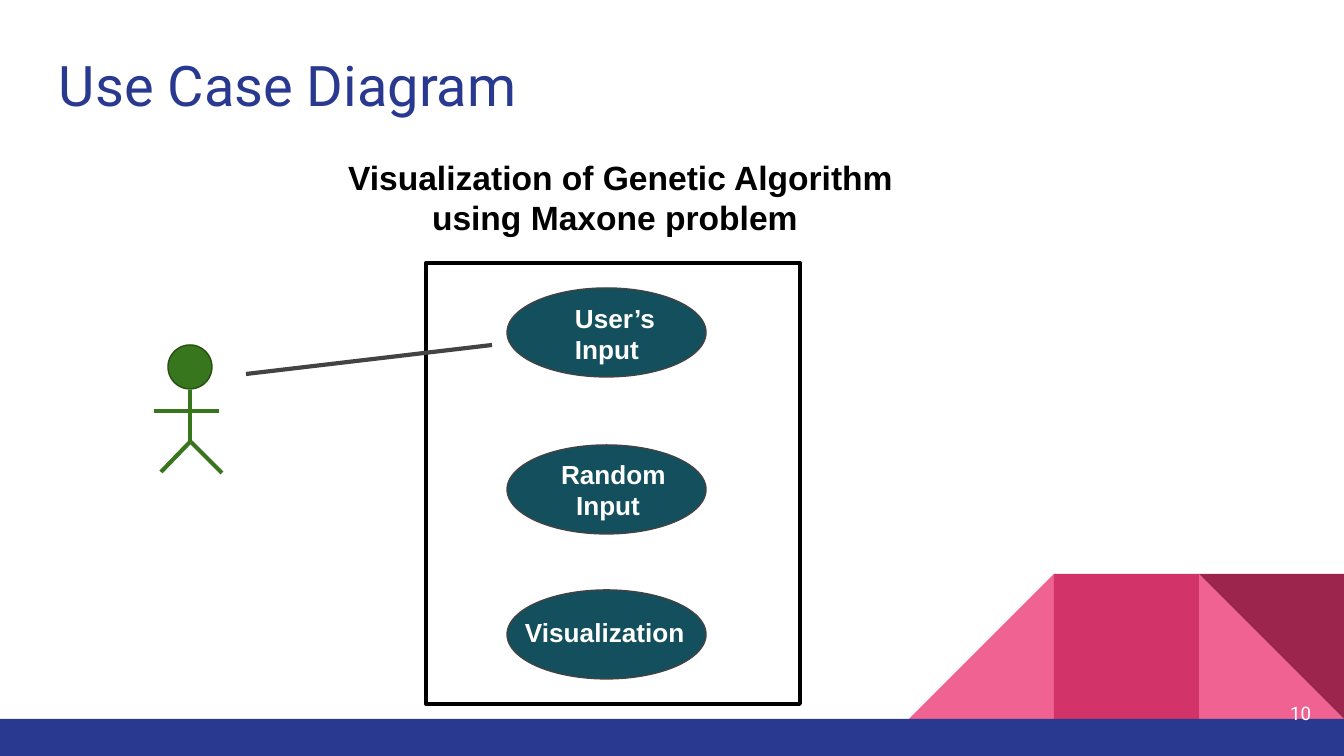
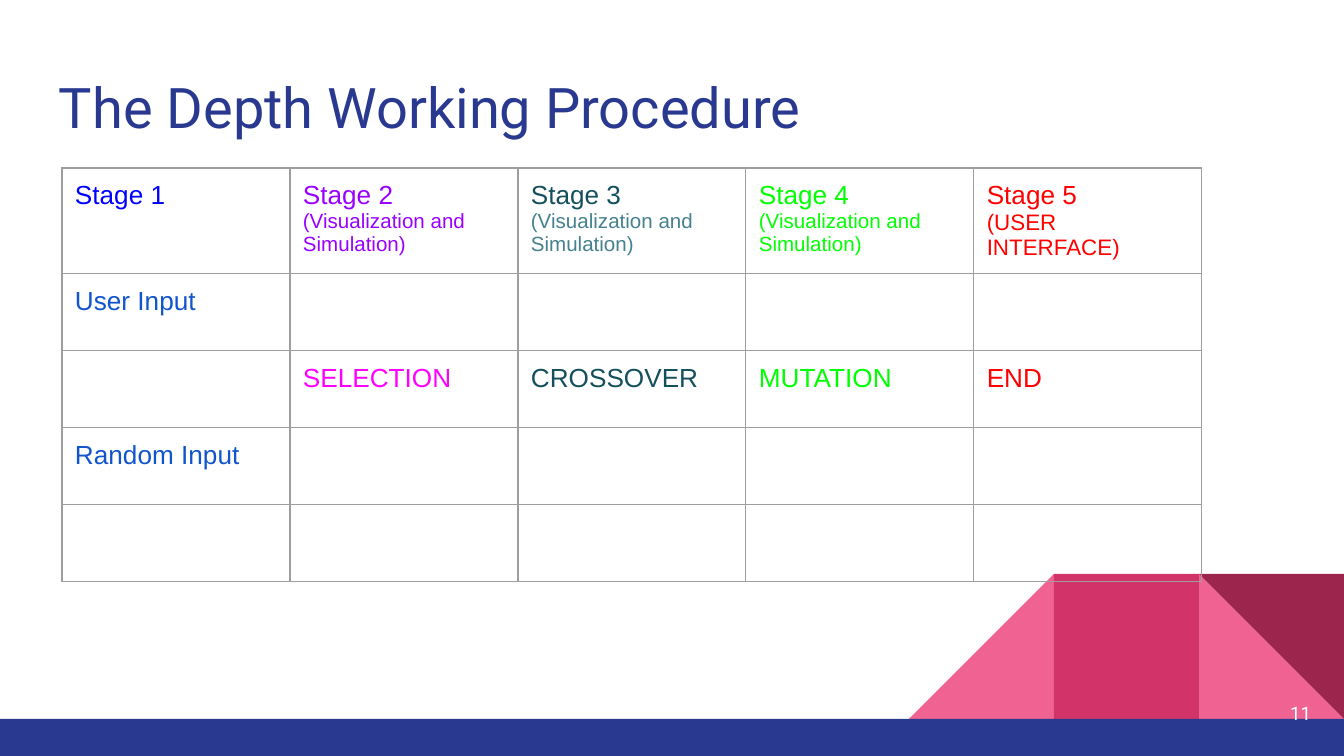
"""Build the use case diagram and the working procedure slides."""
from lxml.etree import SubElement
from pptx import Presentation
from pptx.dml.color import RGBColor
from pptx.enum.shapes import MSO_CONNECTOR, MSO_SHAPE
from pptx.enum.text import MSO_ANCHOR, MSO_AUTO_SIZE, PP_ALIGN
from pptx.oxml.ns import qn
from pptx.util import Emu, Pt

SCALE = 914400 / 134.4
INSET = 13

WHITE = RGBColor(0xFF, 0xFF, 0xFF)
BLACK = RGBColor(0x00, 0x00, 0x00)
NAVY = RGBColor(0x2A, 0x39, 0x90)
PINK = RGBColor(0xF0, 0x62, 0x92)
ROSE = RGBColor(0xD2, 0x33, 0x69)
WINE = RGBColor(0x9C, 0x25, 0x4D)
TEAL = RGBColor(0x13, 0x4F, 0x5C)
LIGHT_TEAL = RGBColor(0x45, 0x81, 0x8E)
CHARCOAL = RGBColor(0x43, 0x43, 0x43)
GREEN = RGBColor(0x38, 0x76, 0x1D)
DARK_GREEN = RGBColor(0x27, 0x4E, 0x13)
BLUE = RGBColor(0x00, 0x00, 0xFF)
INPUT_BLUE = RGBColor(0x11, 0x55, 0xCC)
PURPLE = RGBColor(0x99, 0x00, 0xFF)
MAGENTA = RGBColor(0xFF, 0x00, 0xFF)
LIME = RGBColor(0x00, 0xFF, 0x00)
RED = RGBColor(0xFF, 0x00, 0x00)
GRID_GREY = "9E9E9E"


def px(*lengths):
    return [Emu(round(length * SCALE)) for length in lengths]


def write(frame, lines, font="Arial", bold=False, align=PP_ALIGN.LEFT):
    for index, (text, size, color, indent) in enumerate(lines):
        paragraph = frame.add_paragraph() if index else frame.paragraphs[0]
        paragraph.alignment = align
        if indent:
            paragraph._p.get_or_add_pPr().set("marL", str(px(indent)[0]))
        run = paragraph.add_run()
        run.text = text
        for name, value in {"name": font, "size": Pt(size), "bold": bold}.items():
            setattr(run.font, name, value)
        run.font.color.rgb = color


INSETS = dict.fromkeys(("margin_left", "margin_right", "margin_top", "margin_bottom"), px(INSET)[0])
FRAME_FORMAT = {**INSETS, "word_wrap": True, "auto_size": MSO_AUTO_SIZE.NONE}

deck = Presentation()
deck.slide_width, deck.slide_height = px(1344, 756)
layout = deck.slide_layouts[5]
for footer in list(layout.placeholders)[1:]:
    footer.element.getparent().remove(footer.element)

slides = []
for title_text, title_top, number in [
    ("Use Case Diagram", 38, "10"),
    ("The Depth Working Procedure", 60, "11"),
]:
    slide = deck.slides.add_slide(layout)
    slides.append(slide)
    title = slide.shapes.title
    title.left, title.top, title.width, title.height = px(46, title_top, 1253, 89)
    page_number = slide.shapes.add_textbox(*px(1243, 684, 81, 58))
    for frame, anchor in [
        (title.text_frame, MSO_ANCHOR.TOP),
        (page_number.text_frame, MSO_ANCHOR.MIDDLE),
    ]:
        for name, value in {**FRAME_FORMAT, "vertical_anchor": anchor}.items():
            setattr(frame, name, value)
    write(title.text_frame, [(title_text, 30, NAVY, 0)], "Roboto")
    write(page_number.text_frame, [(number, 10, WHITE, 0)], "Roboto", align=PP_ALIGN.RIGHT)

use_case, procedure = slides

decoration = use_case.shapes.add_group_shape()
for kind, box, color, flipped, rotation in [
    (MSO_SHAPE.RIGHT_TRIANGLE, (1199, 574, 145, 145), PINK, False, 0),
    (MSO_SHAPE.RIGHT_TRIANGLE, (909, 574, 145, 145), PINK, True, 0),
    (MSO_SHAPE.RECTANGLE, (1054, 574, 145, 145), ROSE, False, 0),
    (MSO_SHAPE.RIGHT_TRIANGLE, (1199, 574, 145, 145), WINE, False, 180),
    (MSO_SHAPE.RECTANGLE, (0, 719, 1344, 37), NAVY, False, 0),
]:
    piece = decoration.shapes.add_shape(kind, *px(*box))
    piece.shadow.inherit = False
    piece.fill.solid()
    piece.fill.fore_color.rgb = color
    piece.line.fill.background()
    piece.rotation = rotation
    if flipped:
        piece.element.spPr.xfrm.set("flipH", "1")
layout.shapes.element.insert(2, decoration.element)

for kind, box, fill, outline, weight in [
    *[(MSO_SHAPE.OVAL, (507, top, 199, 89), TEAL, CHARCOAL, 0.75) for top in (288, 445, 590)],
    (MSO_SHAPE.OVAL, (168, 345, 44, 44), GREEN, DARK_GREEN, 0.75),
    (MSO_SHAPE.RECTANGLE, (426, 263, 374, 441), None, BLACK, 2.25),
]:
    figure = use_case.shapes.add_shape(kind, *px(*box))
    figure.shadow.inherit = False
    if fill is None:
        figure.fill.background()
    else:
        figure.fill.solid()
        figure.fill.fore_color.rgb = fill
    figure.line.color.rgb = outline
    figure.line.width = Pt(weight)

for ends, color in [
    ((190, 390, 190, 442), GREEN),
    ((190, 442, 161, 472), GREEN),
    ((191, 442, 222, 473), GREEN),
    ((219, 411, 154, 411), GREEN),
    ((492, 345, 246, 374), CHARCOAL),
]:
    stroke = use_case.shapes.add_connector(MSO_CONNECTOR.STRAIGHT, *px(*ends))
    stroke.line.color.rgb = color
    stroke.line.width = Pt(2.25)
    SubElement(stroke.element.spPr, qn("a:effectLst"))

for box, lines in [
    ((562, 289, 109, 62), [("User’s", 14, WHITE, 0), ("Input", 14, WHITE, 0)]),
    ((548, 445, 796, 144), [("Random", 14, WHITE, 0), ("Input", 14, WHITE, 15)]),
    ((512, 603, 832, 144), [("Visualization", 14, WHITE, 0)]),
    ((335, 144, 1009, 142), [
        ("Visualization of Genetic Algorithm", 18, BLACK, 0),
        ("using Maxone problem", 18, BLACK, 84),
    ]),
]:
    label = use_case.shapes.add_textbox(*px(*box)).text_frame
    for name, value in FRAME_FORMAT.items():
        setattr(label, name, value)
    write(label, lines, bold=True)

simulation = "(Visualization and Simulation)"
stages = {
    (0, 0): [("Stage 1", 14, BLUE, 0)],
    (0, 1): [("Stage 2", 14, PURPLE, 0), (simulation, 11, PURPLE, 0)],
    (0, 2): [("Stage 3", 14, TEAL, 0), (simulation, 11, LIGHT_TEAL, 0)],
    (0, 3): [("Stage 4", 14, LIME, 0), (simulation, 11, LIME, 0)],
    (0, 4): [("Stage 5", 14, RED, 0), ("(USER INTERFACE)", 12, RED, 0)],
    (1, 0): [("User Input", 14, INPUT_BLUE, 0)],
    (2, 1): [("SELECTION", 14, MAGENTA, 0)],
    (2, 2): [("CROSSOVER", 14, TEAL, 0)],
    (2, 3): [("MUTATION", 14, LIME, 0)],
    (2, 4): [("END", 14, RED, 0)],
    (3, 0): [("Random Input", 14, INPUT_BLUE, 0)],
}
stage_table = procedure.shapes.add_table(5, 5, *px(62, 168, 5 * 228, 5 * 77)).table
stage_table.first_row = stage_table.horz_banding = False
for row in range(5):
    for column in range(5):
        cell = stage_table.cell(row, column)
        for name, value in INSETS.items():
            setattr(cell, name, value)
        write(cell.text_frame, stages.get((row, column), []))
        properties = cell._tc.get_or_add_tcPr()
        for side in ("a:lnL", "a:lnR", "a:lnT", "a:lnB"):
            border = SubElement(properties, qn(side), w=str(Pt(0.75)))
            SubElement(SubElement(border, qn("a:solidFill")), qn("a:srgbClr"), val=GRID_GREY)
        cell.fill.background()

deck.save("out.pptx")
